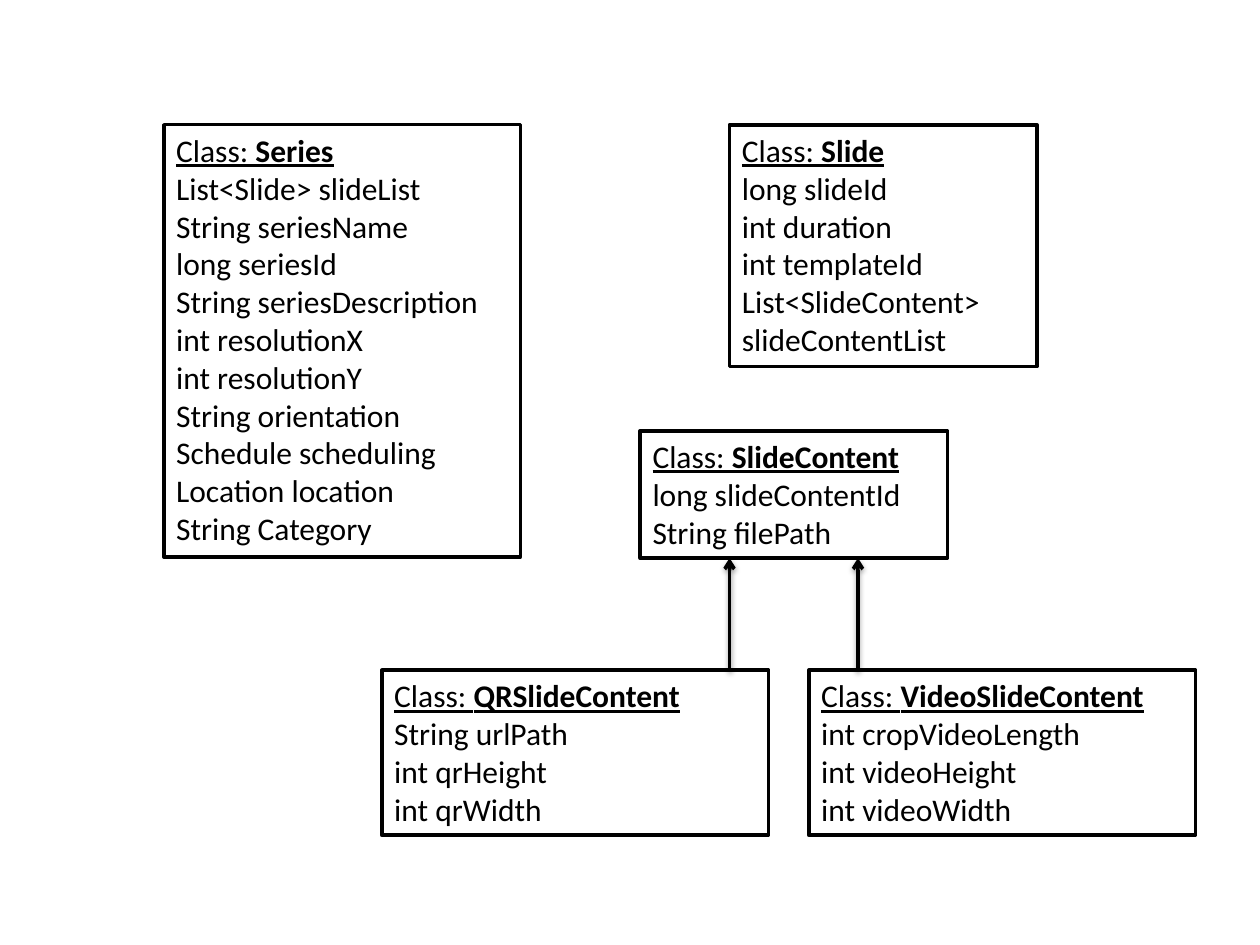
from dataclasses import dataclass

from lxml.etree import SubElement
from pptx import Presentation
from pptx.dml.color import RGBColor
from pptx.enum.shapes import MSO_CONNECTOR
from pptx.enum.text import MSO_AUTO_SIZE
from pptx.oxml.ns import qn
from pptx.slide import Slide
from pptx.util import Pt


@dataclass(frozen=True)
class Theme:
    ink: RGBColor = RGBColor(0, 0, 0)
    paper: RGBColor = RGBColor(255, 255, 255)
    font: str = "Calibri"
    text_size: float = 18
    line_width: float = 2


@dataclass(frozen=True)
class ClassBox:
    """A class with its fields; lengths are in points."""
    name: str
    fields: tuple[str, ...]
    left: float
    top: float
    width: float
    height: float

    @property
    def bottom(self) -> float:
        return self.top + self.height


THEME = Theme()
TOP_ROW, CHILD_ROW = 71.3, 383
BASE_WIDTH, CHILD_WIDTH, CHILD_HEIGHT = 175.7, 221, 94.3

SERIES = ClassBox("Series", (
    "List<Slide> slideList", "String seriesName", "long seriesId",
    "String seriesDescription", "int resolutionX", "int resolutionY",
    "String orientation", "Schedule scheduling", "Location location",
    "String Category",
), 93.6, TOP_ROW, 203.8, 247)
SLIDE = ClassBox("Slide", (
    "long slideId", "int duration", "int templateId",
    "List<SlideContent> slideContentList",
), 416.9, TOP_ROW, BASE_WIDTH, 138.2)
CONTENT = ClassBox("SlideContent", (
    "long slideContentId", "String filePath",
), 365.8, 246.2, BASE_WIDTH, 72.7)
QR_CONTENT = ClassBox("QRSlideContent", (
    "String urlPath", "int qrHeight", "int qrWidth",
), 218.2, CHILD_ROW, CHILD_WIDTH, CHILD_HEIGHT)
VIDEO_CONTENT = ClassBox("VideoSlideContent", (
    "int cropVideoLength", "int videoHeight", "int videoWidth",
), 462.2, CHILD_ROW, CHILD_WIDTH, CHILD_HEIGHT)

CLASSES = (SERIES, SLIDE, CONTENT, QR_CONTENT, VIDEO_CONTENT)
INHERITANCE = ((VIDEO_CONTENT, CONTENT, 490.3), (QR_CONTENT, CONTENT, 416.9))


def draw_class(slide: Slide, box: ClassBox) -> None:
    frame = slide.shapes.add_textbox(
        Pt(box.left), Pt(box.top), Pt(box.width), Pt(box.height))
    frame.fill.solid()
    frame.fill.fore_color.rgb = THEME.paper
    frame.line.color.rgb = THEME.ink
    frame.line.width = Pt(THEME.line_width)

    text = frame.text_frame
    text.word_wrap = True
    text.auto_size = MSO_AUTO_SIZE.SHAPE_TO_FIT_TEXT
    heading = text.paragraphs[0]
    heading.add_run().text = "Class: "
    class_name = heading.add_run()
    class_name.text = box.name
    class_name.font.bold = True
    for run in heading.runs:
        run.font.underline = True
    for field in box.fields:
        text.add_paragraph().add_run().text = field
    for paragraph in text.paragraphs:
        paragraph.font.name = THEME.font
        paragraph.font.size = Pt(THEME.text_size)
        paragraph.font.color.rgb = THEME.ink


def draw_inheritance(slide: Slide, child: ClassBox, parent: ClassBox, x: float) -> None:
    """Draw a softly shadowed arrow straight up from child to parent."""
    arrow = slide.shapes.add_connector(
        MSO_CONNECTOR.STRAIGHT, Pt(x), Pt(child.top), Pt(x), Pt(parent.bottom))
    arrow.line.color.rgb = THEME.ink
    arrow.line.width = Pt(THEME.line_width)
    properties = arrow.element.spPr
    SubElement(properties.find(qn("a:ln")), qn("a:tailEnd"), type="arrow")
    effects = SubElement(properties, qn("a:effectLst"))
    shadow = SubElement(
        effects, qn("a:outerShdw"), blurRad=str(Pt(3.1)), dist=str(Pt(1.6)),
        dir="5400000", rotWithShape="0")
    shade = SubElement(shadow, qn("a:srgbClr"), val=str(THEME.ink))
    SubElement(shade, qn("a:alpha"), val="38000")


def main() -> None:
    deck = Presentation()
    deck.slide_width, deck.slide_height = Pt(720), Pt(540)
    blank_layout = deck.slide_layouts[6]
    diagram = deck.slides.add_slide(blank_layout)
    for box in CLASSES:
        draw_class(diagram, box)
    for child, parent, x in INHERITANCE:
        draw_inheritance(diagram, child, parent, x)
    deck.save("out.pptx")


if __name__ == "__main__":
    main()
